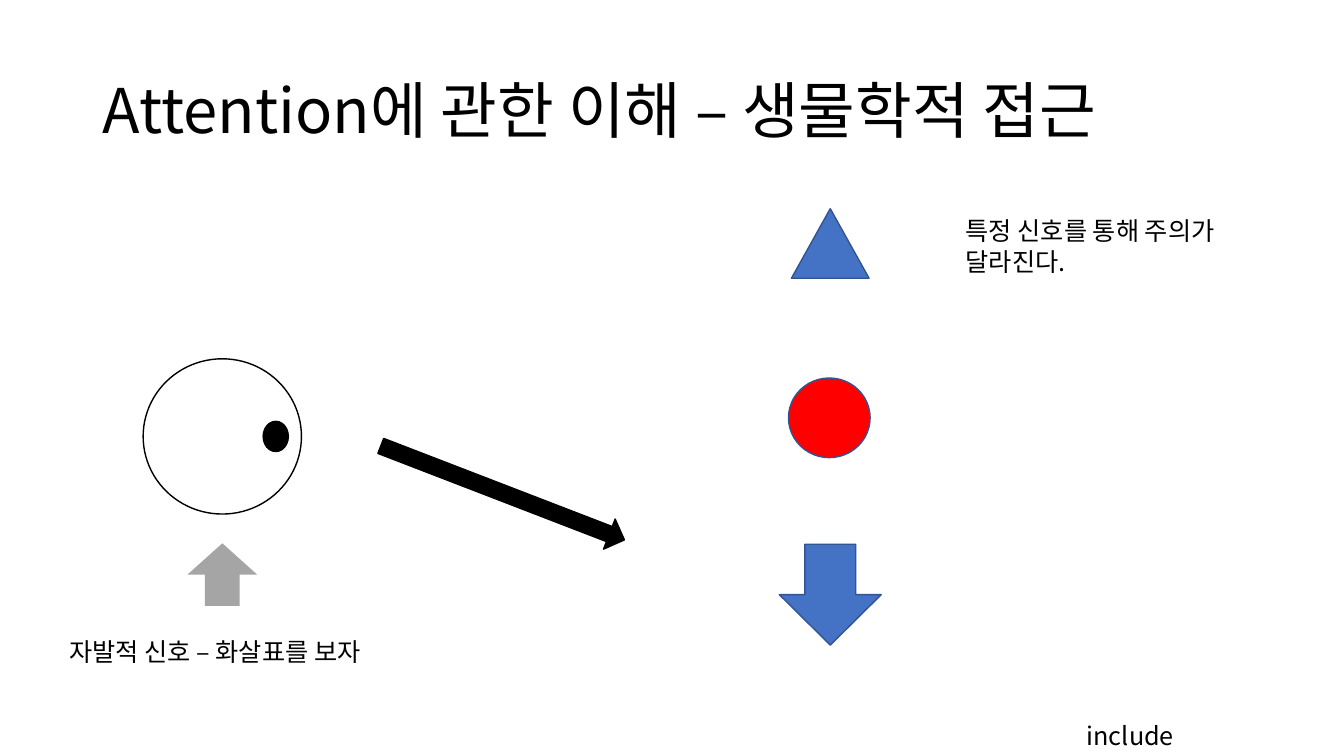
from lxml.etree import SubElement
from pptx import Presentation
from pptx.dml.color import RGBColor
from pptx.enum.shapes import MSO_SHAPE
from pptx.enum.text import MSO_ANCHOR
from pptx.oxml.ns import qn
from pptx.util import Inches, Pt

BLACK = RGBColor(0x00, 0x00, 0x00)
WHITE = RGBColor(0xFF, 0xFF, 0xFF)
BLUE = RGBColor(0x44, 0x72, 0xC4)
DARK_BLUE = RGBColor(0x32, 0x54, 0x91)
RED = RGBColor(0xFF, 0x00, 0x00)
GRAY = RGBColor(0xA5, 0xA5, 0xA5)
FONT_NAME = "Noto Sans CJK KR"


def add_text(slide, box, text, size=18, anchor=MSO_ANCHOR.TOP, line_spacing=1.0):
    """Add a wrapped text box with one paragraph."""
    frame = slide.shapes.add_textbox(*map(Inches, box)).text_frame
    frame.word_wrap = True
    frame.vertical_anchor = anchor
    paragraph = frame.paragraphs[0]
    paragraph.text = text
    paragraph.line_spacing = line_spacing
    font = paragraph.font
    font.name = FONT_NAME
    font.size = Pt(size)
    font.color.rgb = BLACK
    properties = paragraph._p.pPr.find(qn("a:defRPr"))
    SubElement(properties, qn("a:ea"), typeface=FONT_NAME)


def add_figure(slide, kind, box, fill, line=None, rotation=0):
    """Add a filled preset shape, outlined only if a line colour is given."""
    shape = slide.shapes.add_shape(kind, *map(Inches, box))
    shape.shadow.inherit = False
    shape.rotation = rotation
    shape.fill.solid()
    shape.fill.fore_color.rgb = fill
    if line is None:
        shape.line.fill.background()
    else:
        shape.line.color.rgb = line
        shape.line.width = Pt(1)


def add_eye(slide):
    """Add the eye with its pupil, gaze arrow and signal arrow."""
    add_figure(slide, MSO_SHAPE.OVAL, (1.42, 3.56, 1.57, 1.54), WHITE, BLACK)
    add_figure(slide, MSO_SHAPE.OVAL, (2.61, 4.18, 0.25, 0.3), BLACK, BLACK)
    add_figure(slide, MSO_SHAPE.RIGHT_ARROW, (3.69, 4.73, 2.59, 0.32), BLACK, BLACK, 21.1)
    add_figure(slide, MSO_SHAPE.DOWN_ARROW, (1.86, 5.39, 0.69, 0.62), GRAY, rotation=180)


def add_targets(slide):
    """Add the column of figures that compete for attention."""
    targets = [
        (MSO_SHAPE.ISOSCELES_TRIANGLE, (7.85, 2.07, 0.77, 0.69), BLUE),
        (MSO_SHAPE.OVAL, (7.82, 3.75, 0.81, 0.79), RED),
        (MSO_SHAPE.DOWN_ARROW, (7.73, 5.4, 1.01, 1), BLUE),
    ]
    for kind, box, fill in targets:
        add_figure(slide, kind, box, fill, DARK_BLUE)


def main():
    """Build the slide and save it."""
    presentation = Presentation()
    presentation.slide_width = Inches(13.33)
    presentation.slide_height = Inches(7.5)
    slide = presentation.slides.add_slide(presentation.slide_layouts[6])
    add_text(slide, (0.92, 0.4, 11.5, 1.45), "Attention에 관한 이해 – 생물학적 접근",
             44, MSO_ANCHOR.MIDDLE, 0.9)
    add_text(slide, (10.68, 7.1, 3.38, 0.4), "include")
    add_eye(slide)
    add_targets(slide)
    add_text(slide, (0.59, 6.26, 3.63, 0.4), "자발적 신호 – 화살표를 보자")
    add_text(slide, (9.48, 2.09, 3.27, 0.71), "특정 신호를 통해 주의가 달라진다.")
    presentation.save("out.pptx")


if __name__ == "__main__":
    main()
